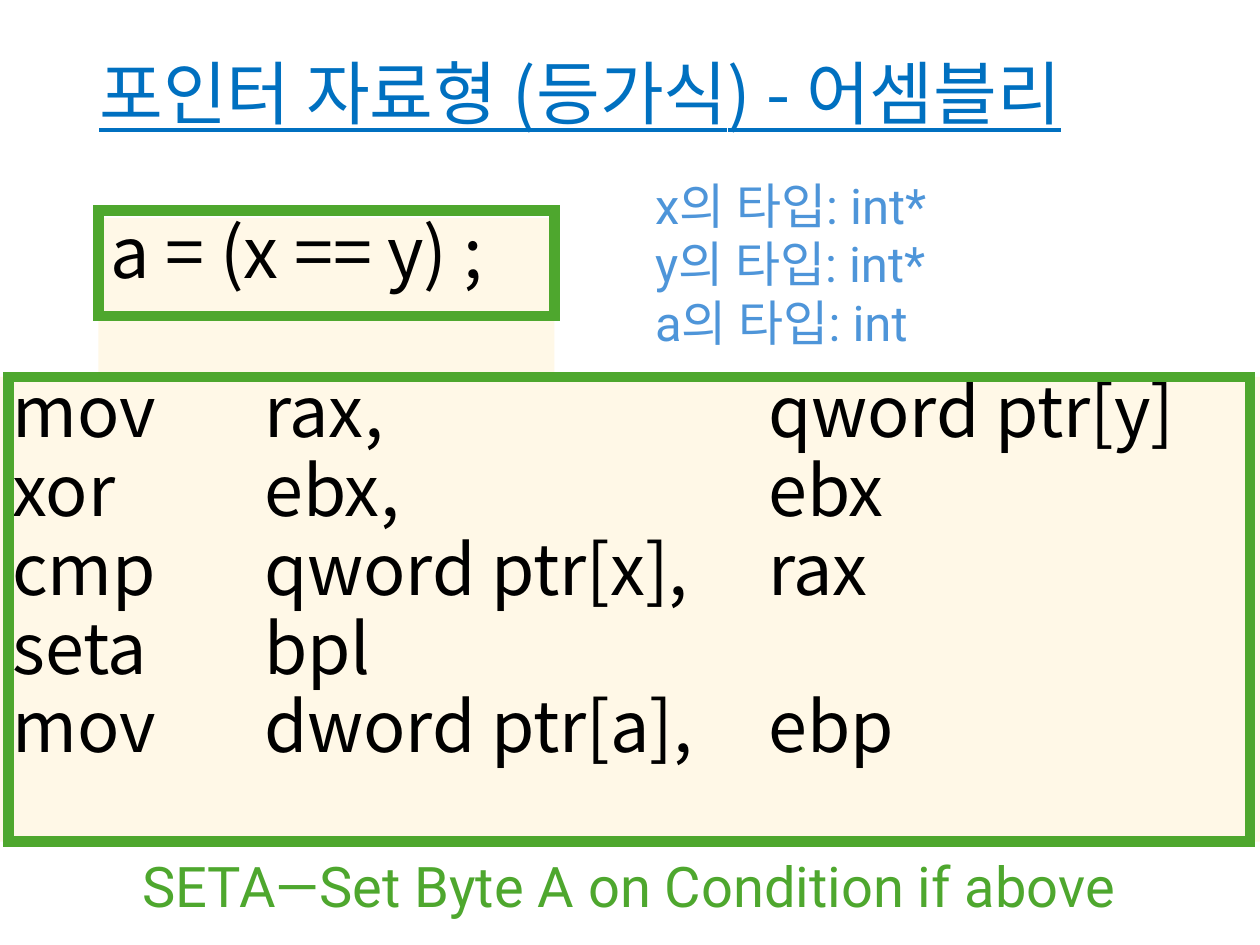
"""Build the slide on pointer equality in assembly."""
from lxml.etree import SubElement
from pptx import Presentation
from pptx.dml.color import RGBColor
from pptx.enum.shapes import MSO_SHAPE as Shape
from pptx.enum.text import MSO_ANCHOR as Anchor, PP_ALIGN as Align
from pptx.oxml.ns import qn
from pptx.util import Pt

NOTO, ROBOTO = "Noto Sans CJK KR", "Roboto"
BLUE, SKY, GREEN, CREAM, BLACK = "0070C0", "4E95D9", "4EA72E", "FFF8E7", "000000"

TITLE = "포인터 자료형 (등가식) - 어셈블리"
EXPRESSION = "a = (x == y) ;"
TYPES = [("x", "int*"), ("y", "int*"), ("a", "int")]
CODE = [
    ("mov", "rax,", "qword ptr[y]"),
    ("xor", "ebx,", "ebx"),
    ("cmp", "qword ptr[x],", "rax"),
    ("seta", "bpl"),
    ("mov", "dword ptr[a],", "ebp"),
]
NOTE = "SETA—Set Byte A on Condition if above"
TAB_STOPS = (144, 432)
CODE_TOP, CODE_HEIGHT = 215.3, 265.7
EXPRESSION_LEFT, EXPRESSION_WIDTH = 56.2, 260.6


def color(value):
    return RGBColor.from_string(value)


def add_rectangle(page, place, fill=None, line=None):
    box = page.shapes.add_shape(Shape.RECTANGLE, *map(Pt, place))
    box.shadow.inherit = False
    if fill:
        box.fill.solid()
        box.fill.fore_color.rgb = color(fill)
    else:
        box.fill.background()
    if line:
        box.line.color.rgb = color(line)
        box.line.width = Pt(6)
        SubElement(box.line._get_or_add_ln(), qn("a:miter"), lim="800000")
    else:
        box.line.fill.background()
    return box


def add_text_box(page, place):
    return page.shapes.add_textbox(*map(Pt, place))


def write(box, lines, size, font, ink, align=Align.LEFT, anchor=Anchor.TOP,
          spacing=1.0, before=0, tabs=()):
    frame = box.text_frame
    frame.word_wrap = True
    frame.vertical_anchor = anchor
    for index, line in enumerate(lines):
        para = frame.add_paragraph() if index else frame.paragraphs[0]
        para.alignment = align
        para.line_spacing = spacing
        para.space_before = Pt(before if index else 0)
        if tabs:
            stops = SubElement(para._p.get_or_add_pPr(), qn("a:tabLst"))
            for stop in tabs:
                SubElement(stops, qn("a:tab"), pos=str(Pt(stop)), algn="l")
        span = para.add_run()
        span.text = line
        span.font.size = Pt(size)
        span.font.name = font
        span.font.color.rgb = color(ink)
        SubElement(span.font._element, qn("a:ea"), typeface=font)
    return frame


def main():
    deck = Presentation()
    deck.slide_width, deck.slide_height = Pt(720), Pt(540)
    page = deck.slides.add_slide(deck.slide_layouts[6])

    title = add_text_box(page, (49.7, 28.8, 670.3, 53.3))
    frame = write(title, [TITLE], 39.6, NOTO, BLUE, anchor=Anchor.MIDDLE, spacing=0.9)
    frame.paragraphs[0].runs[0].font.underline = True

    expression = add_rectangle(page, (EXPRESSION_LEFT, 124.5, EXPRESSION_WIDTH, 90.8), CREAM)
    write(expression, [EXPRESSION], 40, NOTO, BLACK, spacing=0.81)

    code = add_rectangle(page, (0, CODE_TOP, 720, CODE_HEIGHT), CREAM)
    write(code, ["\t".join(row) for row in CODE], 40, NOTO, BLACK,
          spacing=0.81, before=6.2, tabs=TAB_STOPS)

    add_rectangle(page, (EXPRESSION_LEFT, 120.2, EXPRESSION_WIDTH, 60.5), line=GREEN)
    add_rectangle(page, (5, CODE_TOP, 709.2, CODE_HEIGHT), line=GREEN)

    note = add_text_box(page, (43.9, 483.1, 631.4, 46.1))
    write(note, [NOTE], 32, ROBOTO, GREEN, align=Align.CENTER)

    types = add_text_box(page, (367.2, 96.5, 243.4, 108.7))
    write(types, [f"{name}의 타입: {kind}" for name, kind in TYPES], 28, ROBOTO, SKY)

    deck.save("out.pptx")


if __name__ == "__main__":
    main()
